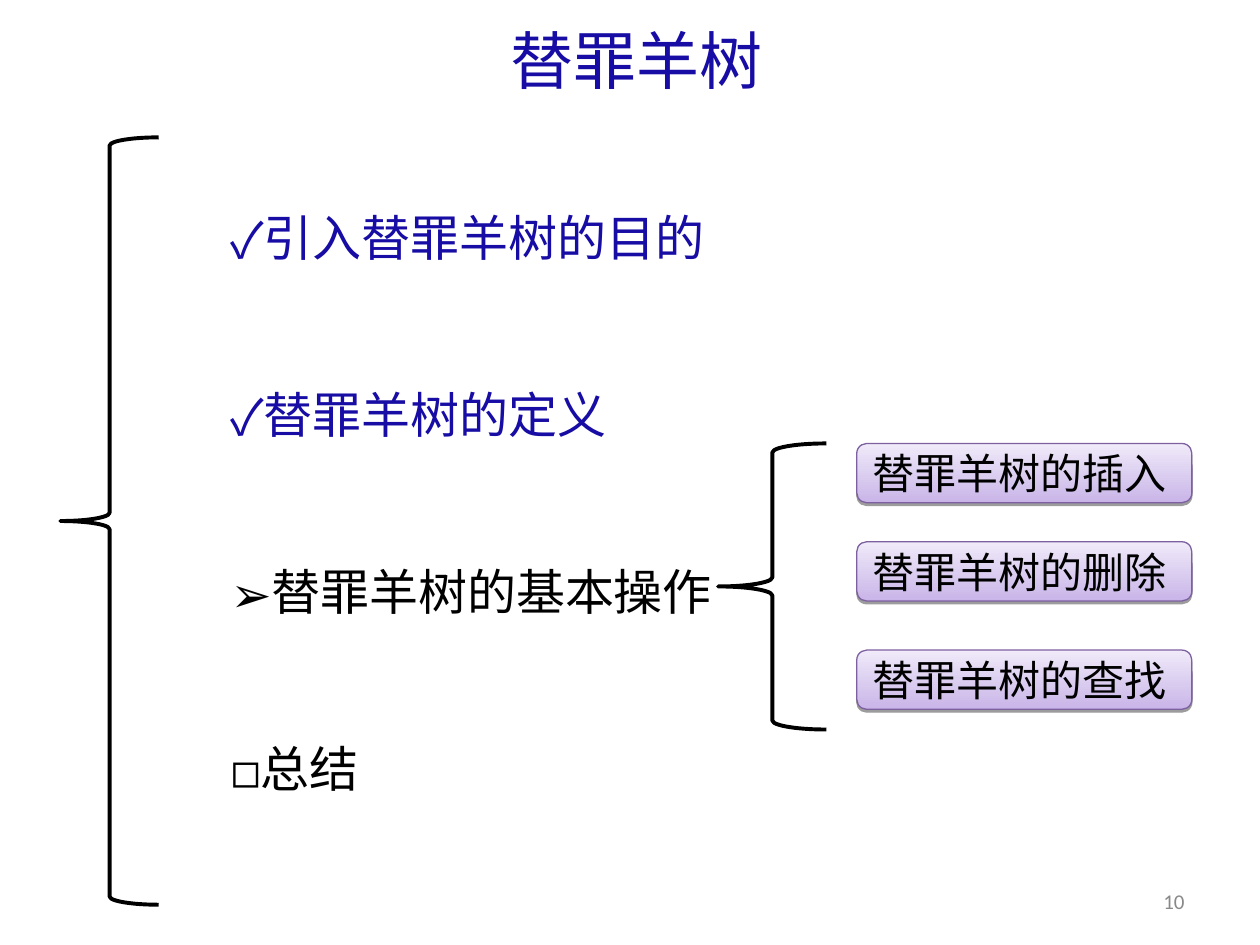
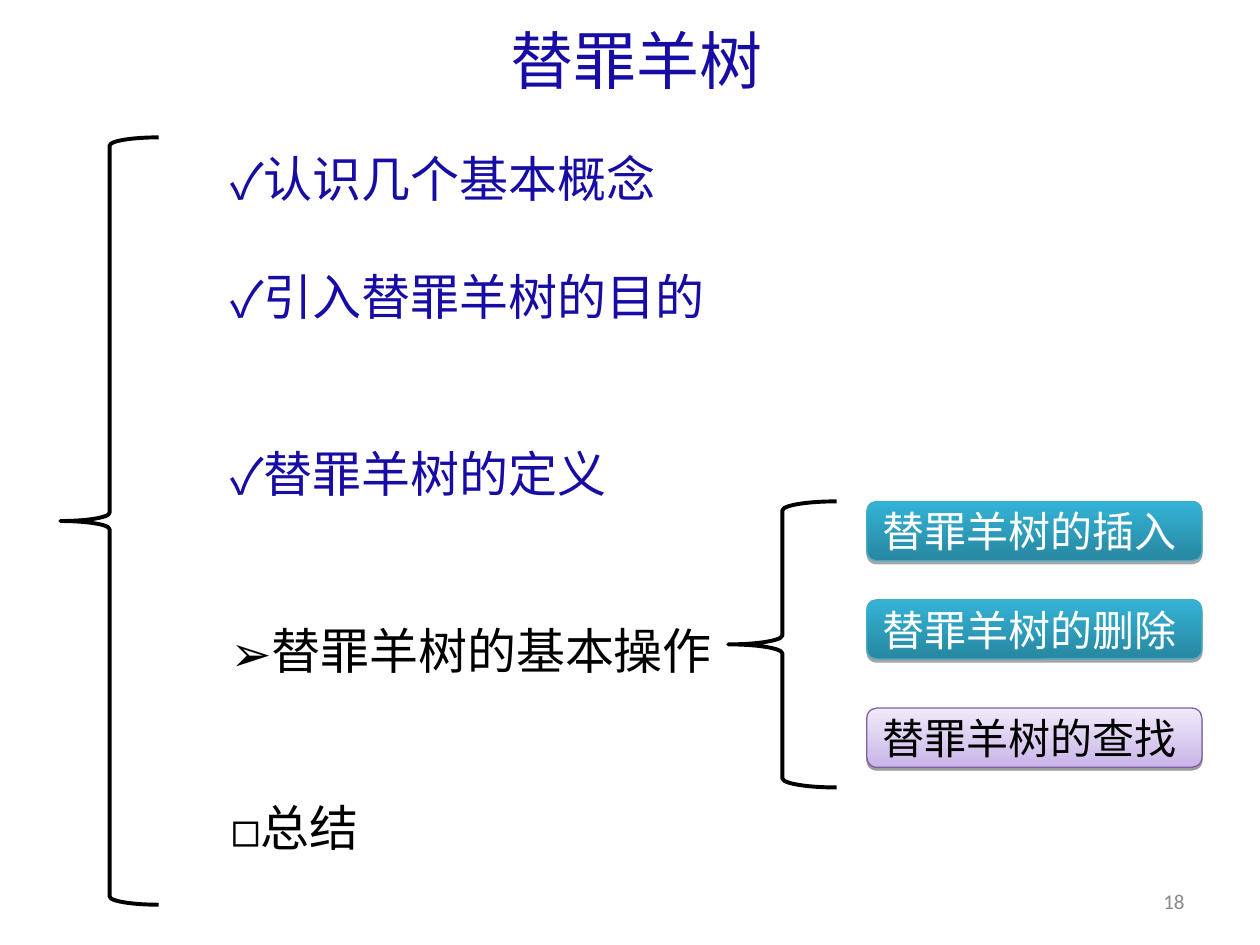
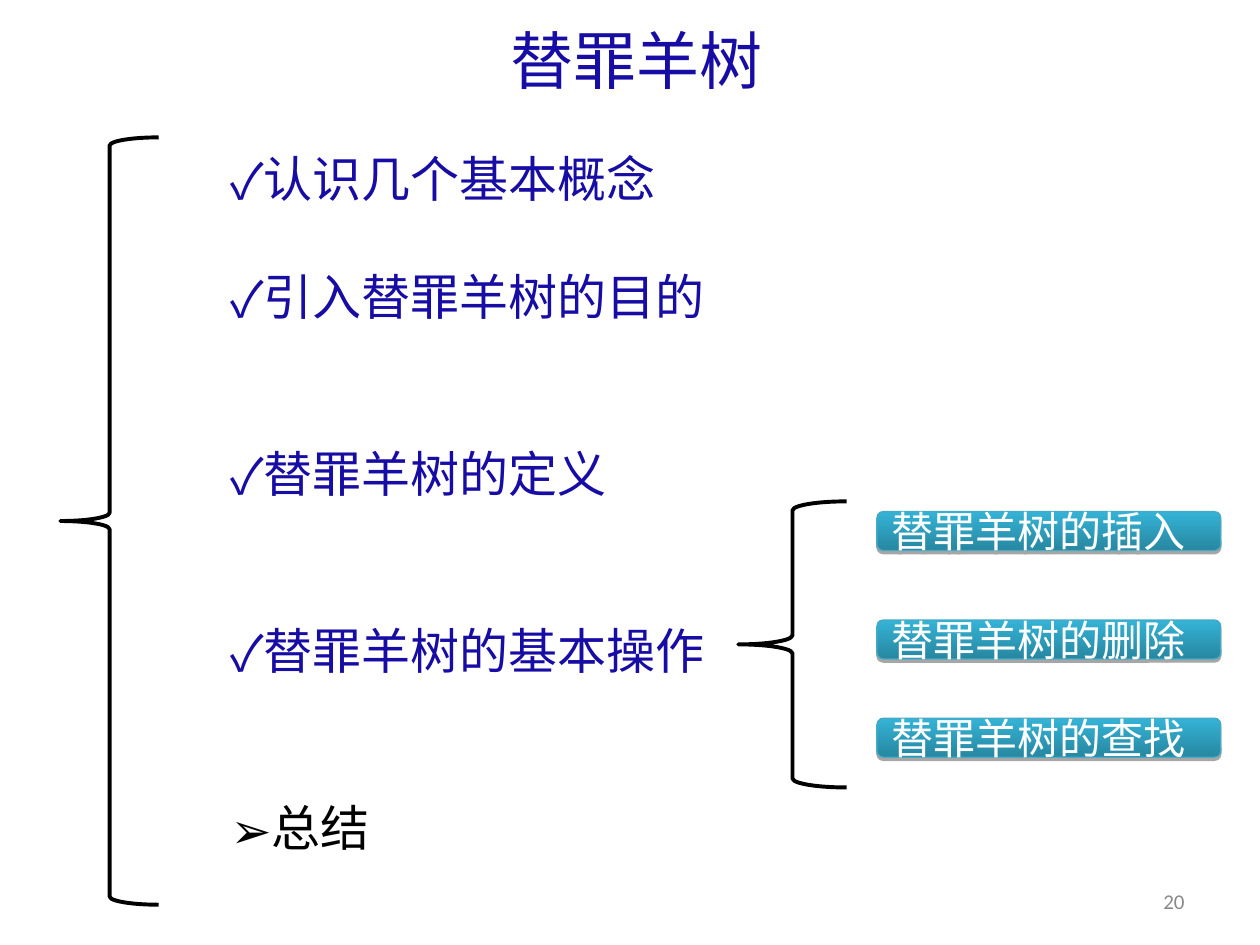
from lxml import etree
from pptx import Presentation
from pptx.dml.color import RGBColor
from pptx.enum.shapes import MSO_SHAPE as SHAPE
from pptx.enum.text import MSO_ANCHOR as ANCHOR, MSO_AUTO_SIZE as AUTO, PP_ALIGN as ALIGN
from pptx.oxml.ns import qn
from pptx.util import Inches, Pt

FONT = "Noto Sans CJK SC"
COLORS = {"done": "170CA4", "text": "000000", "white": "FFFFFF", "number": "898989"}
# Button looks: gradient bottom and top, line, text, shadow opacity and distance
BUTTONS = {
    "todo": dict(bottom="C9B5E8", top="F0EAF9", line="7D60A0", text="text", alpha=38, dist=1.6),
    "done": dict(bottom="2787A0", top="34B3D6", line="46AAC5", text="white", alpha=35, dist=1.8),
}
BULLETS = {"done": "✓", "now": "➢", "todo": "◻"}
LINE = 33.7  # line pitch of the outline, in points

CONCEPTS, PURPOSE = "认识几个基本概念", "引入替罪羊树的目的"
DEFINITION, OPERATIONS, SUMMARY = "替罪羊树的定义", "替罪羊树的基本操作", "总结"
ACTIONS = ["替罪羊树的插入", "替罪羊树的删除", "替罪羊树的查找"]


def rgb(value):
    return RGBColor.from_string(value)


def write(p, text, size=24, color="text", font=FONT, align=ALIGN.LEFT, line=None, before=0):
    p.alignment = align
    p.space_before = Pt(before)
    if line:
        p.line_spacing = Pt(line)
    r = p.add_run()
    r.text = text
    r.font.size, r.font.name = Pt(size), font
    r.font.color.rgb = rgb(COLORS[color])
    etree.SubElement(r.font._element, qn("a:ea"), typeface=font)


def frame(sp, box, anchor=ANCHOR.TOP):
    """Put a shape in its box and return its text frame, ready for text."""
    sp.left, sp.top, sp.width, sp.height = (Inches(v) for v in box)
    tf = sp.text_frame
    tf.word_wrap, tf.auto_size, tf.vertical_anchor = True, AUTO.NONE, anchor
    return tf


def set_bullet(p, char, color):
    pPr = p._p.get_or_add_pPr()
    pPr.set("marL", "0")
    pPr.set("indent", "0")
    clr = etree.SubElement(pPr, qn("a:buClr"))
    etree.SubElement(clr, qn("a:srgbClr"), val=COLORS[color])
    etree.SubElement(pPr, qn("a:buFont"), typeface=FONT)
    etree.SubElement(pPr, qn("a:buChar"), char=char)


def add_outline(s, box, items, blank_top):
    """Bulleted list; each item is (text, state, blank lines before it)."""
    tf = frame(s.placeholders[1], box)
    tf.margin_top = Inches(0.09) + Pt(LINE * blank_top)
    for i, (text, state, blanks) in enumerate(items):
        p = tf.paragraphs[0] if i == 0 else tf.add_paragraph()
        color = "done" if state == "done" else "text"
        set_bullet(p, BULLETS[state], color)
        write(p, text, size=28, color=color, line=LINE, before=LINE * blanks)


def add_brace(s, box):
    sp = s.shapes.add_shape(SHAPE.LEFT_BRACE, *(Inches(v) for v in box))
    sp.shadow.inherit = False
    sp.fill.background()
    sp.line.color.rgb = rgb(COLORS["text"])
    sp.line.width = Pt(2.25)


def add_button(s, box, text, state):
    look = BUTTONS[state]
    sp = s.shapes.add_shape(SHAPE.ROUNDED_RECTANGLE, *(Inches(v) for v in box))
    sp.fill.gradient()
    sp.fill.gradient_angle = 90
    for stop, key in zip(sp.fill.gradient_stops, ("bottom", "top")):
        stop.color.rgb = rgb(look[key])
    sp.line.color.rgb = rgb(look["line"])
    sp.line.width = Pt(0.75)
    # Hard shadow straight below
    sp.shadow.inherit = False
    effects = sp._element.spPr.find(qn("a:effectLst"))
    shadow = etree.SubElement(effects, qn("a:outerShdw"), blurRad="0",
                              dist=str(Pt(look["dist"])), dir="5400000", rotWithShape="0")
    clr = etree.SubElement(shadow, qn("a:srgbClr"), val=COLORS["text"])
    etree.SubElement(clr, qn("a:alpha"), val=str(look["alpha"] * 1000))
    write(frame(sp, box, ANCHOR.MIDDLE).paragraphs[0], text, color=look["text"])


def add_operations(s, left, top, states, offsets, size):
    """Brace with one button for each operation, placed from its corner."""
    add_brace(s, (left, top, 0.86, 2.27))
    for text, state, dy in zip(ACTIONS, states, offsets):
        add_button(s, (left + 1.1, top + dy, *size), text, state)


def add_slide(prs, number, items, operations, height=6.17, blank_top=0):
    s = prs.slides.add_slide(prs.slide_layouts[1])
    # Title
    tf = frame(s.shapes.title, (3.22, 0.07, 3.66, 1.3))
    write(tf.paragraphs[0], "替罪羊树", size=36, color="done", align=ALIGN.CENTER, line=47)
    # Outline with its brace
    add_outline(s, (1.73, 1.09, 7.66, height), items, blank_top)
    add_brace(s, (0.48, 1.09, 0.78, 6.09))
    add_operations(s, **operations)
    # Slide number
    tf = frame(s.shapes.add_textbox(0, 0, 0, 0), (7.17, 6.95, 2.33, 0.4), ANCHOR.MIDDLE)
    write(tf.paragraphs[0], str(number), size=12, color="number", font="Calibri",
          align=ALIGN.RIGHT)


def main():
    prs = Presentation()
    prs.slide_width, prs.slide_height = Inches(10), Inches(7.5)

    tall = dict(offsets=(0, 0.78, 1.64), size=(2.66, 0.47))
    flat = dict(offsets=(0.08, 0.94, 1.72), size=(2.73, 0.31))
    opening = [(CONCEPTS, "done", 0), (PURPOSE, "done", 1), (DEFINITION, "done", 2)]
    current = [(OPERATIONS, "now", 2), (SUMMARY, "todo", 2)]
    finished = [(OPERATIONS, "done", 2), (SUMMARY, "now", 2)]

    add_slide(prs, 10, [(PURPOSE, "done", 0), (DEFINITION, "done", 2)] + current,
              dict(left=5.7, top=3.52, states=["todo"] * 3, **tall),
              height=5.71, blank_top=1)
    add_slide(prs, 18, opening + current,
              dict(left=5.78, top=3.98, states=["done", "done", "todo"], **tall))
    add_slide(prs, 20, opening + finished,
              dict(left=5.86, top=3.98, states=["done"] * 3, **flat))
    prs.save("out.pptx")


if __name__ == "__main__":
    main()
